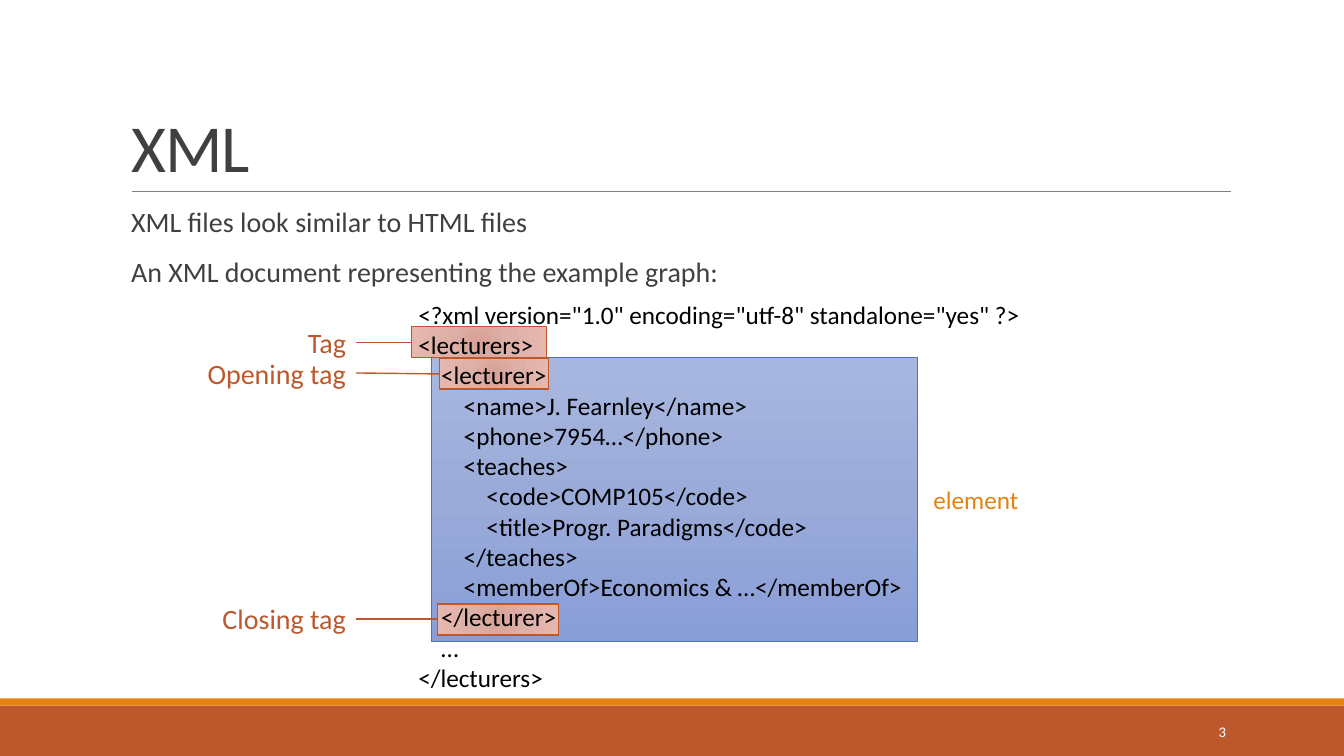
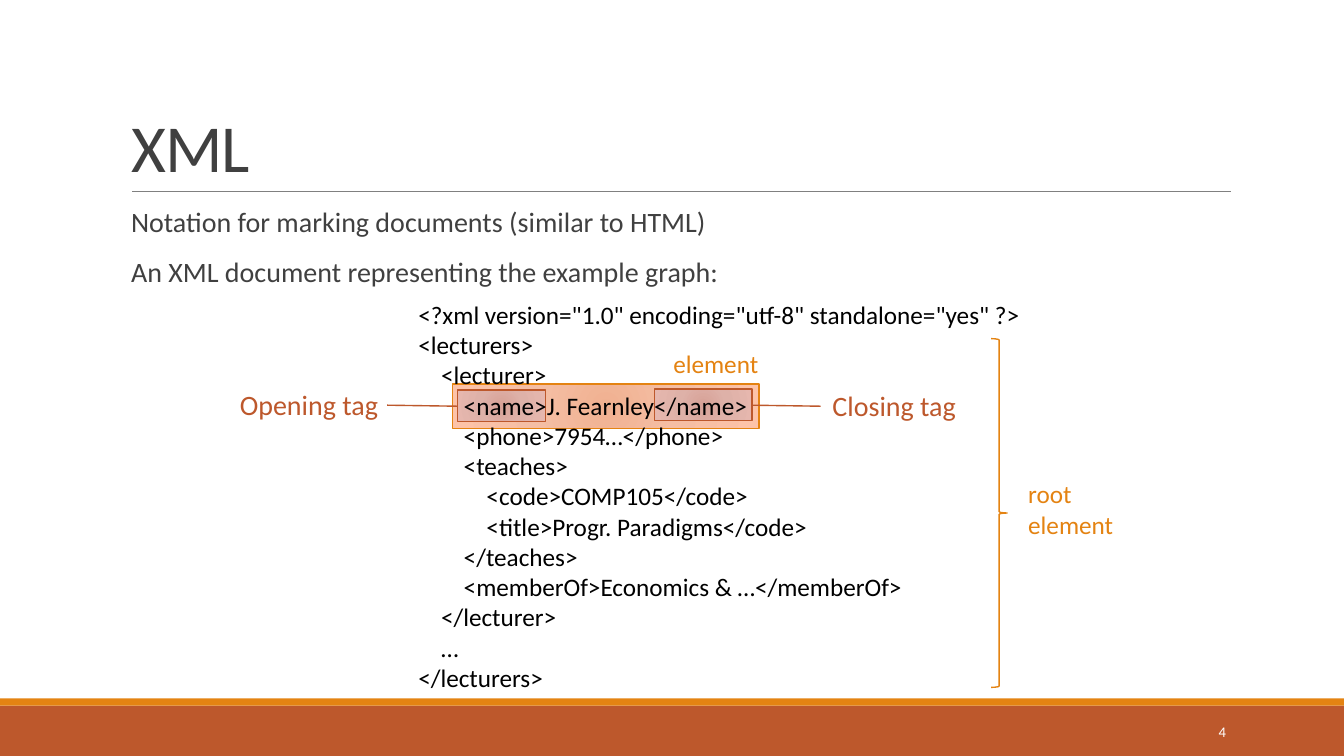
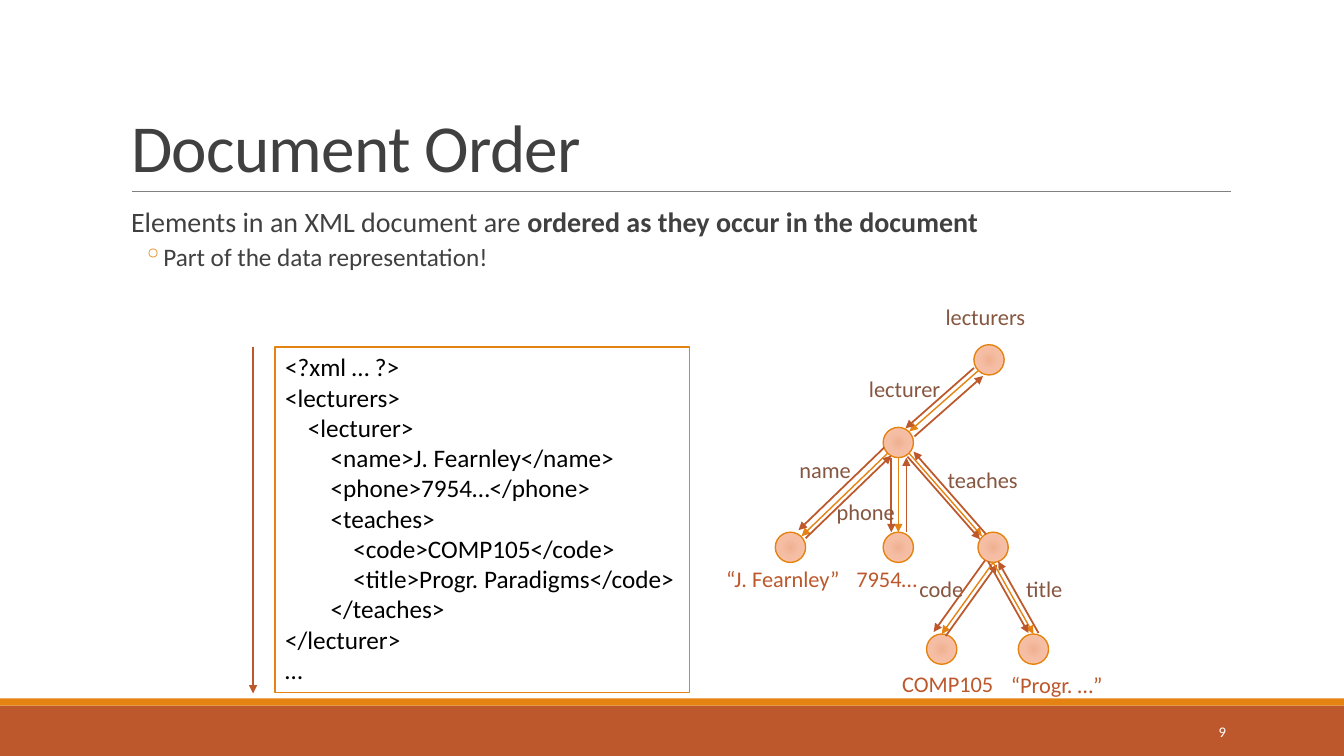
from pptx import Presentation
from pptx.dml.color import RGBColor
from pptx.enum.shapes import MSO_CONNECTOR, MSO_SHAPE
from pptx.enum.text import MSO_ANCHOR, MSO_AUTO_SIZE, PP_ALIGN
from pptx.oxml import parse_xml
from pptx.oxml.ns import nsdecls, qn
from pptx.util import Inches, Pt

# Shared look
RUST = RGBColor(0xBD, 0x58, 0x2C)
ORANGE = RGBColor(0xE4, 0x83, 0x12)
BROWN = RGBColor(0x86, 0x56, 0x40)
BLUE = RGBColor(0x44, 0x72, 0xC4)
INK = RGBColor(0x40, 0x40, 0x40)
GREY = RGBColor(0x80, 0x80, 0x80)
BLACK = RGBColor(0, 0, 0)
WHITE = RGBColor(0xFF, 0xFF, 0xFF)
FONT = "Calibri"

CIRCLE = ('<a:path path="circle"><a:fillToRect l="100000" t="100000" '
          'r="100000" b="100000"/></a:path>')
DOWNWARD = '<a:lin ang="5400000" scaled="0"/>'
# Highlight style: gradient stops (position, colour), direction, outline, width
TAG = (((0, "D7A197"), (45, "DEB1A8"), (100, "E6B7AE")), CIRCLE, RUST, 1)
ELEMENT = (((0, "F0B191"), (45, "F5BEA4"), (100, "FDC3A8")), CIRCLE, ORANGE, 1)
BLOCK = (((0, "A8B7DF"), (50, "9AABD9"), (100, "889ED7")), DOWNWARD, BLUE, 0.5)

# Paragraph format and text size by outline level
LEVELS = [
    ({"line_spacing": 0.9, "space_before": Pt(12), "space_after": Pt(2)}, 20),
    ({"line_spacing": 0.9, "space_before": Pt(2), "space_after": Pt(4)}, 18),
]

XML_LINES = [
    '<?xml version="1.0" encoding="utf-8" standalone="yes" ?>',
    "<lecturers>",
    "    <lecturer>",
    "        <name>J. Fearnley</name>",
    "        <phone>7954…</phone>",
    "        <teaches>",
    "            <code>COMP105</code>",
    "            <title>Progr. Paradigms</code>",
    "        </teaches>",
    "        <memberOf>Economics & …</memberOf>",
    "    </lecturer>",
    "    …",
    "</lecturers>",
]


def add_text(slide, box, lines, size, color, align=PP_ALIGN.LEFT):
    """Add an unwrapped text box with one paragraph per line."""
    holder = slide.shapes.add_textbox(*map(Inches, box))
    frame = holder.text_frame
    frame.word_wrap = False
    frame.auto_size = MSO_AUTO_SIZE.SHAPE_TO_FIT_TEXT
    for number, line in enumerate(lines):
        paragraph = frame.add_paragraph() if number else frame.paragraphs[0]
        paragraph.alignment = align
        run = paragraph.add_run()
        run.text = line
        for name, value in {"name": FONT, "size": Pt(size)}.items():
            setattr(run.font, name, value)
        run.font.color.rgb = color
    return holder


def add_line(slide, start, end, color, width, arrow=False):
    """Add a straight line, with an arrowhead at its end if wanted."""
    line = slide.shapes.add_connector(
        MSO_CONNECTOR.STRAIGHT, *map(Inches, (*start, *end)))
    line.line.color.rgb = color
    line.line.width = Pt(width)
    properties = line.element.spPr
    if arrow:
        properties.find(qn("a:ln")).append(
            parse_xml(f'<a:tailEnd {nsdecls("a")} type="triangle"/>'))
    properties.append(parse_xml(f'<a:effectLst {nsdecls("a")}/>'))
    return line


deck = Presentation()
deck.slide_width, deck.slide_height = Inches(13.33), Inches(7.5)
layout = deck.slide_layouts[5]

# Titles, body text and slide numbers
GRAPH_INTRO = (0, [("An XML document representing the example graph:", False)])
OUTLINES = [
    ("XML", "3", [(0, [("XML files look similar to HTML files", False)]), GRAPH_INTRO]),
    ("XML", "4", [(0, [("Notation for marking documents (similar to HTML)", False)]),
                  GRAPH_INTRO]),
    ("Document Order", "9", [
        (0, [("Elements in an XML document are ", False),
             ("ordered as they occur in the document", True)]),
        (1, [("Part of the data representation!", False)])]),
]
for heading, page, body in OUTLINES:
    slide = deck.slides.add_slide(layout)
    title = slide.shapes.title
    place = {"left": 1.2, "top": 0.31, "width": 11, "height": 1.59}
    for name, value in place.items():
        setattr(title, name, Inches(value))
    title.text_frame.text = heading
    title.text_frame.vertical_anchor = MSO_ANCHOR.BOTTOM
    title.text_frame.auto_size = MSO_AUTO_SIZE.NONE
    paragraph = title.text_frame.paragraphs[0]
    paragraph.alignment = PP_ALIGN.LEFT
    paragraph.line_spacing = 0.85
    run = paragraph.runs[0]
    for name, value in {"name": FONT, "size": Pt(48)}.items():
        setattr(run.font, name, value)
    run.font.color.rgb = INK
    run.font._element.set("spc", "-50")

    outline = slide.shapes.add_textbox(*map(Inches, (1.2, 2.02, 11, 4.4))).text_frame
    outline.word_wrap = True
    outline.margin_left = outline.margin_right = 0
    for number, (level, parts) in enumerate(body):
        paragraph = outline.add_paragraph() if number else outline.paragraphs[0]
        spacing, size = LEVELS[level]
        for name, value in spacing.items():
            setattr(paragraph, name, value)
        if number == 0:
            paragraph.space_before = Pt(0)
        properties = paragraph._p.get_or_add_pPr()
        properties.set("marL", str(Inches(0.42 if level else 0.1)))
        if level:
            properties.set("indent", str(Inches(-0.2)))
            properties.append(parse_xml(
                f'<a:buClr {nsdecls("a")}><a:srgbClr val="{ORANGE}"/></a:buClr>'))
            properties.append(parse_xml(f'<a:buChar {nsdecls("a")} char="◦"/>'))
        for words, bold in parts:
            run = paragraph.add_run()
            run.text = words
            for name, value in {"name": FONT, "size": Pt(size), "bold": bold}.items():
                setattr(run.font, name, value)
            run.font.color.rgb = INK

    page_number = add_text(slide, (10.83, 7.06, 1.43, 0.4), [page], 10.5, WHITE,
                           PP_ALIGN.RIGHT).text_frame
    page_number.word_wrap = True
    page_number.auto_size = MSO_AUTO_SIZE.NONE
    page_number.vertical_anchor = MSO_ANCHOR.MIDDLE

tags_slide, root_slide, order_slide = deck.slides

# Bands and title rule, moved to the layout that all slides use
for top, height, color in [(7, 0.5, RUST), (6.93, 0.07, ORANGE)]:
    band = tags_slide.shapes.add_shape(
        MSO_SHAPE.RECTANGLE, *map(Inches, (0, top, 13.33, height)))
    band.shadow.inherit = False
    band.fill.solid()
    band.fill.fore_color.rgb = color
    band.line.fill.background()
    layout.shapes.element.append(band.element)
title_rule = add_line(tags_slide, (1.31, 1.9), (12.21, 1.9), GREY, 0.5)
layout.shapes.element.append(title_rule.element)

# Highlights behind the code, and tree nodes
NODE = 0.3
NODES = {  # centres
    "lecturers": (9.81, 3.57),
    "lecturer": (8.91, 4.39),
    "name": (7.84, 5.43),
    "phone": (8.91, 5.43),
    "teaches": (9.85, 5.43),
    "code": (9.34, 6.44),
    "title": (10.25, 6.44),
}
highlights = [
    (tags_slide, MSO_SHAPE.RECTANGLE, (4.28, 3.55, 4.82, 2.81), BLOCK),
    (tags_slide, MSO_SHAPE.RECTANGLE, (4.34, 5.99, 1.2, 0.31), TAG),
    (tags_slide, MSO_SHAPE.RECTANGLE, (4.36, 3.55, 1.08, 0.31), TAG),
    (tags_slide, MSO_SHAPE.RECTANGLE, (4.08, 3.24, 1.34, 0.31), TAG),
    (root_slide, MSO_SHAPE.RECTANGLE, (4.49, 3.81, 3.04, 0.44), ELEMENT),
    (root_slide, MSO_SHAPE.RECTANGLE, (6.49, 3.86, 0.97, 0.31), TAG),
    (root_slide, MSO_SHAPE.RECTANGLE, (4.54, 3.87, 0.87, 0.31), TAG),
]
for x, y in NODES.values():
    highlights.append((order_slide, MSO_SHAPE.OVAL,
                       (x - NODE / 2, y - NODE / 2, NODE, NODE), ELEMENT))
for slide, outline, box, (stops, direction, edge, width) in highlights:
    highlight = slide.shapes.add_shape(outline, *map(Inches, box))
    highlight.shadow.inherit = False
    highlight.fill.gradient()
    highlight.line.color.rgb = edge
    highlight.line.width = Pt(width)
    stop_list = "".join(f'<a:gs pos="{position * 1000}"><a:srgbClr val="{color}"/></a:gs>'
                        for position, color in stops)
    properties = highlight.element.spPr
    properties.replace(properties.find(qn("a:gradFill")), parse_xml(
        f'<a:gradFill {nsdecls("a")} rotWithShape="1">'
        f'<a:gsLst>{stop_list}</a:gsLst>{direction}</a:gradFill>'))

# Code listings
for slide in (tags_slide, root_slide):
    add_text(slide, (4.05, 2.92, 6.25, 4.04), XML_LINES, 18, BLACK)
listing = add_text(order_slide, (2.73, 3.44, 4.11, 3.43),
                   ["<?xml … ?>", *XML_LINES[1:9], "</lecturer>", "…"], 18, BLACK)
listing.fill.solid()
listing.fill.fore_color.rgb = WHITE
listing.line.color.rgb = ORANGE
listing.line.width = Pt(1.25)

# Tag callouts: label box, text, pointer
for slide, box, label, start, end in [
    (tags_slide, (2.95, 3.18, 0.58, 0.44), "Tag", (3.53, 3.4), (4.08, 3.4)),
    (tags_slide, (1.94, 3.49, 1.59, 0.44), "Opening tag", (3.53, 3.7), (4.36, 3.71)),
    (tags_slide, (2.09, 5.92, 1.44, 0.44), "Closing tag", (3.53, 6.14), (4.34, 6.14)),
    (root_slide, (2.26, 3.8, 1.59, 0.44), "Opening tag", (3.84, 4.02), (4.54, 4.03)),
    (root_slide, (8.14, 3.81, 1.44, 0.44), "Closing tag", (8.14, 4.03), (7.45, 4.02)),
]:
    add_text(slide, box, [label], 20, RUST, PP_ALIGN.RIGHT)
    add_line(slide, start, end, RUST, 1)

# Element labels and the root element's brace
for slide, box, lines in [
    (tags_slide, (9.16, 4.76, 1.06, 0.4), ["element"]),
    (root_slide, (6.58, 3.41, 1.06, 0.4), ["element"]),
    (root_slide, (10.1, 4.7, 1.06, 0.71), ["root", "element"]),
]:
    add_text(slide, box, lines, 18, ORANGE)
brace = root_slide.shapes.add_shape(
    MSO_SHAPE.RIGHT_BRACE, *map(Inches, (9.83, 3.36, 0.16, 3.46)))
brace.shadow.inherit = False
brace.fill.background()
brace.line.color.rgb = ORANGE
brace.line.width = Pt(1)

# Tree edges: parent, child, exit and entry points from the node centres,
# then the shifts of the traversal arrows down and back up
DIAGONAL, RADIUS = 0.11, NODE / 2
EDGES = [
    ("lecturers", "lecturer", (-DIAGONAL, DIAGONAL), (DIAGONAL, -DIAGONAL),
     (-0.04, -0.03), (0.05, 0.05)),
    ("lecturer", "name", (-DIAGONAL, DIAGONAL), (DIAGONAL, -DIAGONAL),
     (-0.03, -0.06), (0.04, 0.02)),
    ("lecturer", "phone", (0, RADIUS), (0, -RADIUS), (-0.07, 0), (0.08, 0)),
    ("lecturer", "teaches", (DIAGONAL, DIAGONAL), (-DIAGONAL, -DIAGONAL),
     (-0.02, 0.03), (0.04, -0.02)),
    ("teaches", "code", (0, RADIUS), (0, -RADIUS), (-0.08, -0.02), (0.04, 0.02)),
    ("teaches", "title", (0, RADIUS), (0, -RADIUS), (-0.05, -0.01), (0.05, -0.01)),
]
for parent, child, leave, enter, down, up in EDGES:
    (px, py), (cx, cy) = NODES[parent], NODES[child]
    x1, y1, x2, y2 = px + leave[0], py + leave[1], cx + enter[0], cy + enter[1]
    add_line(order_slide, (x1, y1), (x2, y2), ORANGE, 1, True)
    add_line(order_slide, (x1 + down[0], y1 + down[1]),
             (x2 + down[0], y2 + down[1]), RUST, 1.25, True)
    add_line(order_slide, (x2 + up[0], y2 + up[1]),
             (x1 + up[0], y1 + up[1]), RUST, 1.25, True)

# Reading direction beside the listing
add_line(order_slide, (2.51, 3.44), (2.51, 6.88), RUST, 1.25, True)

# Tree labels: element names, then values
for left, top, width, label in [
    (9.28, 2.96, 1, "lecturers"),
    (8.52, 3.67, 0.92, "lecturer"),
    (7.83, 4.48, 0.72, "name"),
    (8.2, 4.89, 0.79, "phone"),
    (9.3, 4.58, 0.91, "teaches"),
    (9.02, 5.66, 0.64, "code"),
    (10.08, 5.66, 0.57, "title"),
]:
    add_text(order_slide, (left, top, width, 0.37), [label], 16, BROWN)
for left, top, width, label in [
    (7.1, 5.56, 1.33, "“J. Fearnley”"),
    (8.38, 5.56, 0.83, "7954…"),
    (8.84, 6.6, 1.12, "COMP105"),
    (9.92, 6.61, 1.12, "“Progr. …”"),
]:
    add_text(order_slide, (left, top, width, 0.37), [label], 16, RUST, PP_ALIGN.CENTER)

deck.save("out.pptx")
